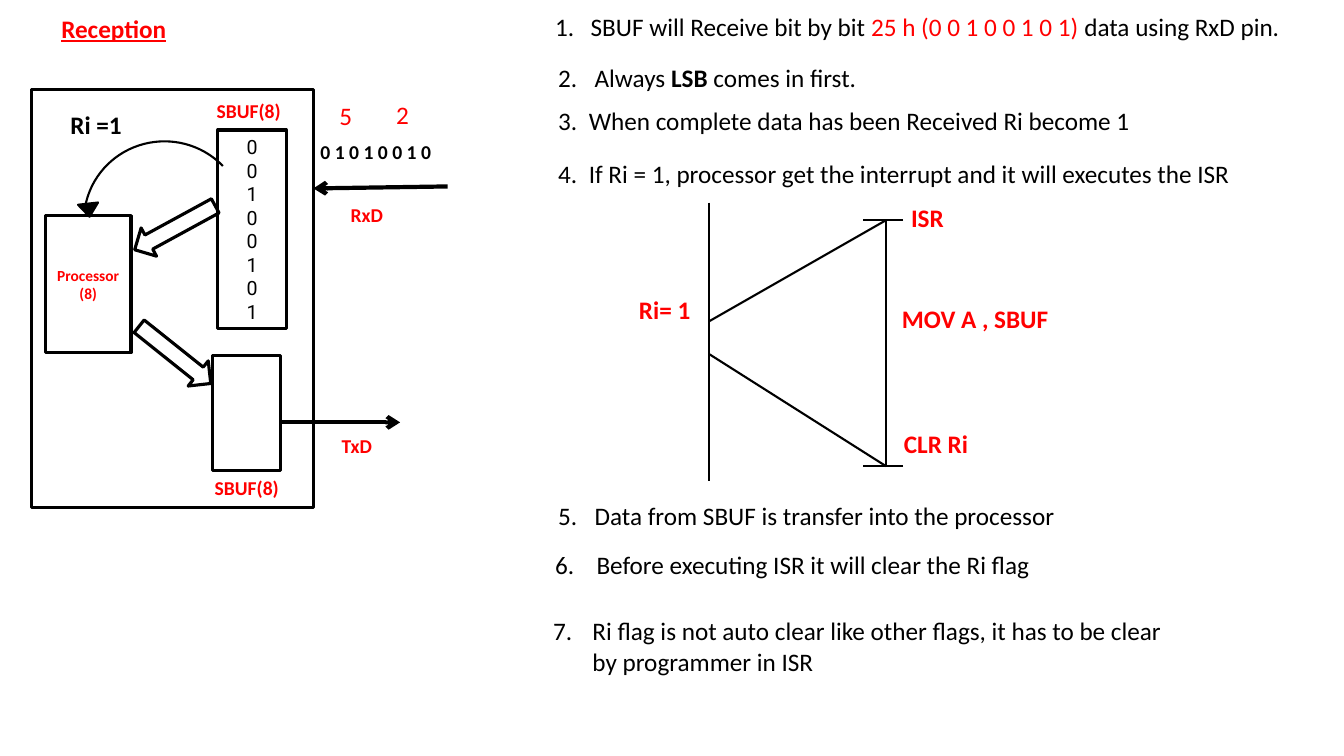
from lxml import etree
from pptx import Presentation
from pptx.dml.color import RGBColor
from pptx.enum import shapes, text
from pptx.oxml import ns
from pptx.util import Pt

BLACK = RGBColor(0, 0, 0)
RED = RGBColor(255, 0, 0)
SHAPE = shapes.MSO_SHAPE


def style(paragraph, size, color, bold=False, face="Calibri"):
    font = paragraph.font
    font.size, font.name, font.bold = Pt(size), face, bold
    font.color.rgb = color


def outline(slide, kind, box, weight=2.25, rotation=0):
    figure = slide.shapes.add_shape(kind, *map(Pt, box))
    figure.shadow.inherit = False
    figure.fill.background()
    figure.line.color.rgb = BLACK
    figure.line.width = Pt(weight)
    figure.rotation = rotation
    return figure


def fill_register(register, lines, size, color, bold, face):
    frame = register.text_frame
    frame.vertical_anchor = text.MSO_ANCHOR.MIDDLE
    frame.text = "\n".join(lines)
    for paragraph in frame.paragraphs:
        paragraph.alignment = text.PP_ALIGN.CENTER
        style(paragraph, size, color, bold, face)


def label(slide, words, left, top, width, size=18, color=RED, bold=True):
    height = 29 if size == 18 else 24.5
    frame = slide.shapes.add_textbox(*map(Pt, (left, top, width, height))).text_frame
    frame.word_wrap = True
    paragraph = frame.paragraphs[0]
    paragraph.text = words
    style(paragraph, size, color, bold)
    return paragraph


def step(slide, number, parts, left, top, width, indent):
    paragraph = label(slide, "", left, top, width, color=BLACK, bold=False)
    for words, color, bold in parts:
        run = paragraph.add_run()
        run.text = words
        if len(parts) > 1:
            run.font.color.rgb = color
            run.font.bold = bold
    properties = paragraph._p.get_or_add_pPr()
    properties.set("marL", str(Pt(indent)))
    properties.set("indent", str(-Pt(indent)))
    numbering = etree.Element(ns.qn("a:buAutoNum"), type="arabicPeriod", startAt=str(number))
    properties.insert(0, numbering)
    return paragraph


def line(slide, start, end, weight=1.5, arrow=False):
    connector = slide.shapes.add_connector(
        shapes.MSO_CONNECTOR.STRAIGHT, *map(Pt, (*start, *end)))
    connector.line.color.rgb = BLACK
    connector.line.width = Pt(weight)
    if arrow:
        etree.SubElement(connector.line._get_or_add_ln(), ns.qn("a:tailEnd"), type="arrow")
    etree.SubElement(connector._element.spPr, ns.qn("a:effectLst"))


def draw_controller(slide):
    outline(slide, SHAPE.RECTANGLE, (22.3, 63.7, 201.6, 298.8))
    processor = outline(slide, SHAPE.RECTANGLE, (32.4, 154, 61.2, 98))
    fill_register(processor, ["Processor", "(8)"], 11, RED, True, "Calibri")
    receive_buffer = outline(slide, SHAPE.RECTANGLE, (155.5, 92.9, 49, 141.8))
    fill_register(receive_buffer, "00100101", 14, BLACK, False, "Roboto")
    outline(slide, SHAPE.RECTANGLE, (152, 254.2, 48.2, 82))
    for top, rotation in ((151.2, 151.4), (242, 38.6)):
        outline(slide, SHAPE.RIGHT_ARROW, (92.2, top, 65.5, 23), rotation=rotation)

    interrupt = outline(slide, SHAPE.ARC, (60, 101, 115, 113), 1.5)
    for index, degrees in enumerate((189, 317)):
        interrupt.adjustments[index] = degrees * 0.6
    tip = outline(slide, SHAPE.ISOSCELES_TRIANGLE, (56.2, 145.4, 14.4, 9.4), 1.5, 173.6)
    tip.fill.solid()
    tip.fill.fore_color.rgb = BLACK

    line(slide, (319.7, 133.2), (223.9, 134.6), 3, True)
    line(slide, (201.6, 301.7), (285.8, 301.7), 3, True)
    for words, left, top in (("SBUF(8)", 147.6, 67), ("RxD", 243.4, 141.1),
                             ("SBUF(8)", 146.2, 336.2), ("TxD", 236.9, 306.7)):
        label(slide, words, left, top, 76.3, 14)
    label(slide, "0 1 0 1 0 0 1 0", 221.8, 96.5, 122.4, 14, BLACK)
    label(slide, "2", 275.8, 67.7, 24, bold=False)
    label(slide, "5", 235.4, 68.4, 24, bold=False)
    label(slide, "Ri =1", 43.2, 74.2, 54, color=BLACK)


def draw_interrupt(slide):
    main_x, routine_x = 506.2, 632.9
    routine_top, routine_end = 157.3, 333
    line(slide, (main_x, 144.7), (main_x, 343.4))
    line(slide, (routine_x, routine_top), (main_x, 229.7))
    line(slide, (routine_x, routine_end), (main_x, 252.7))
    line(slide, (routine_x, routine_top), (routine_x, routine_end))
    for y in (routine_top, routine_end):
        line(slide, (645.1, y), (616.3, y))
    for words, left, top, width in (("Ri= 1", 449.3, 206.6, 108.7), ("ISR", 643.7, 141.1, 77),
                                    ("MOV A , SBUF", 637.2, 213.1, 124),
                                    ("CLR Ri", 638.6, 302.4, 77)):
        label(slide, words, left, top, width)


def write_steps(slide):
    plain = lambda words: [(words, BLACK, False)]
    steps = (
        ([("SBUF will Receive bit by bit ", BLACK, False),
          ("25 h (0 0 1 0 0 1 0 1)", RED, False),
          (" data using RxD pin.", BLACK, False)], 389.5, 4.3, 542, 25.3),
        ([("Always", BLACK, False), (" LSB ", BLACK, True),
          ("comes in first.", BLACK, False)], 391.7, 41, 232, 26),
        (plain("When complete data has been Received Ri become 1"), 391.7, 72, 432, 21.8),
        (plain("If Ri = 1, processor get the interrupt and it will executes the ISR"),
         391.7, 109.4, 513, 21.8),
        (plain("Data from SBUF is transfer into the processor"), 391.7, 353.5, 376, 26),
        (plain("Before executing ISR it will clear the Ri flag"), 389.5, 388.8, 361, 29.5),
    )
    for number, item in enumerate(steps, 1):
        step(slide, number, *item)
    last = step(slide, 7, plain("Ri flag is not auto clear like other flags, it has to be clear"),
                388.1, 436.3, 480, 28)
    last.add_line_break()
    last.add_run().text = "by programmer in ISR"


def main():
    deck = Presentation()
    deck.slide_width, deck.slide_height = Pt(960), Pt(540)
    slide = deck.slides.add_slide(deck.slide_layouts[6])
    label(slide, "Reception", 36.7, 5.8, 94).font.underline = True
    draw_controller(slide)
    draw_interrupt(slide)
    write_steps(slide)
    deck.save("out.pptx")


if __name__ == "__main__":
    main()
